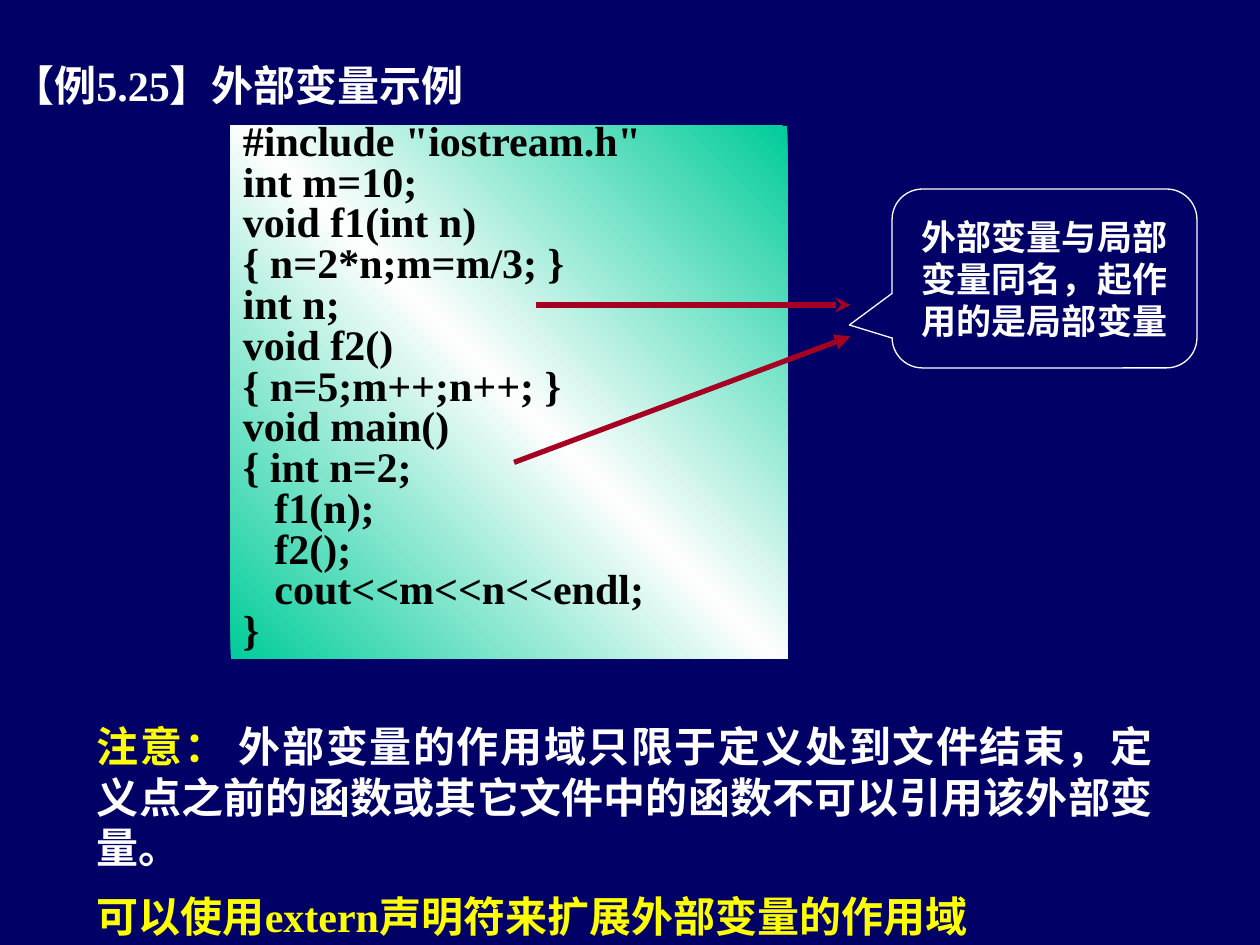
from copy import deepcopy
from lxml import etree
from pptx import Presentation
from pptx.dml.color import RGBColor
from pptx.enum import shapes, text
from pptx.oxml.ns import qn
from pptx.util import Inches, Pt


def color(code):
    return RGBColor.from_string(code)


def style(font, size, code, name="Times New Roman"):
    font.size, font.bold, font.name = Pt(size), True, name
    font.color.rgb = color(code)
    etree.SubElement(font._rPr, qn("a:ea"), typeface="Noto Sans CJK SC")


pres = Presentation()
pres.slide_width, pres.slide_height = Inches(10), Inches(7.5)
slide = pres.slides.add_slide(pres.slide_layouts[6])
slide.background.fill.solid()
slide.background.fill.fore_color.rgb = color("000066")
tree = slide.shapes

# Code panel with a diagonal gradient
panel = tree.add_shape(shapes.MSO_SHAPE.RECTANGLE, Inches(1.83), Inches(1),
                       Inches(4.42), Inches(4.23))
panel.shadow.inherit = False
panel.line.fill.background()
panel.fill.gradient()
panel.fill.gradient_angle = 225
stops = panel._element.spPr.find(".//" + qn("a:gsLst"))
stops.append(deepcopy(stops[0]))
shades = [(0, "00CC99"), (0.5, "FEFEFE"), (1, "00CC99")]
for stop, (spot, code) in zip(panel.fill.gradient_stops, shades):
    stop.position = spot
    stop.color.rgb = color(code)

code_text = """#include "iostream.h"
int m=10;
void f1(int n)
{ n=2*n;m=m/3; }
int n;
void f2()
{ n=5;m++;n++; }
void main()
{ int n=2;
   f1(n);
   f2();
   cout<<m<<n<<endl;
}"""
frame = panel.text_frame
frame.word_wrap = True
frame.vertical_anchor = text.MSO_ANCHOR.TOP
for i, line in enumerate(code_text.split("\n")):
    para = frame.add_paragraph() if i else frame.paragraphs[0]
    para.text = line
    para.alignment = text.PP_ALIGN.JUSTIFY
    para.line_spacing = 0.6
    para.space_before = Pt(6 if i else 0)
    style(para.font, 24, "000000")

# Title and note: each paragraph is a list of (words, colour)
title = [[("【例5.25】外部变量示例", "FFFFFF")]]
note = [
    [("注意：", "FFFF00"),
     (" 外部变量的作用域只限于定义处到文件结束，定义点之前的函数或其它文件中的函数"
      "不可以引用该外部变量。", "FFFFFF")],
    [("可以使用extern声明符来扩展外部变量的作用域", "FFFF00")],
]
for left, top, width, height, paras in [(0, 0.42, 6.58, 0.5, title),
                                        (0.67, 5.67, 8.58, 1.85, note)]:
    box = tree.add_textbox(Inches(left), Inches(top), Inches(width), Inches(height))
    frame = box.text_frame
    frame.word_wrap = True
    for i, parts in enumerate(paras):
        para = frame.add_paragraph() if i else frame.paragraphs[0]
        para.alignment = text.PP_ALIGN.JUSTIFY
        para.space_before = Pt(10.5 if i else 0)
        for words, code in parts:
            run = para.add_run()
            run.text = words
            style(run.font, 24, code)

# Arrows from the code to the callout
for x, y, end, head in [(4.25, 2.42, 2.42, "stealth"),
                        (4.08, 3.67, 2.67, "triangle")]:
    arrow = tree.add_connector(shapes.MSO_CONNECTOR.STRAIGHT, Inches(x), Inches(y),
                               Inches(6.75), Inches(end))
    arrow.line.color.rgb = color("A50021")
    arrow.line.width = Pt(3)
    etree.SubElement(arrow.line._get_or_add_ln(), qn("a:tailEnd"), type=head)
    etree.SubElement(arrow._element.spPr, qn("a:effectLst"))

# Callout
call = tree.add_shape(shapes.MSO_SHAPE.ROUNDED_RECTANGULAR_CALLOUT, Inches(7.08),
                      Inches(1.5), Inches(2.42), Inches(1.42))
for i, value in enumerate([-0.64, 0.26, 0.17]):
    call.adjustments[i] = value
call.shadow.inherit = False
call.fill.background()
call.line.color.rgb = color("FFFFFF")
call.line.width = Pt(0.75)
frame = call.text_frame
frame.word_wrap = True
frame.vertical_anchor = text.MSO_ANCHOR.MIDDLE
para = frame.paragraphs[0]
para.text = "外部变量与局部变量同名，起作用的是局部变量"
para.alignment = text.PP_ALIGN.CENTER
style(para.font, 20, "FFFFFF")

pres.save("out.pptx")
